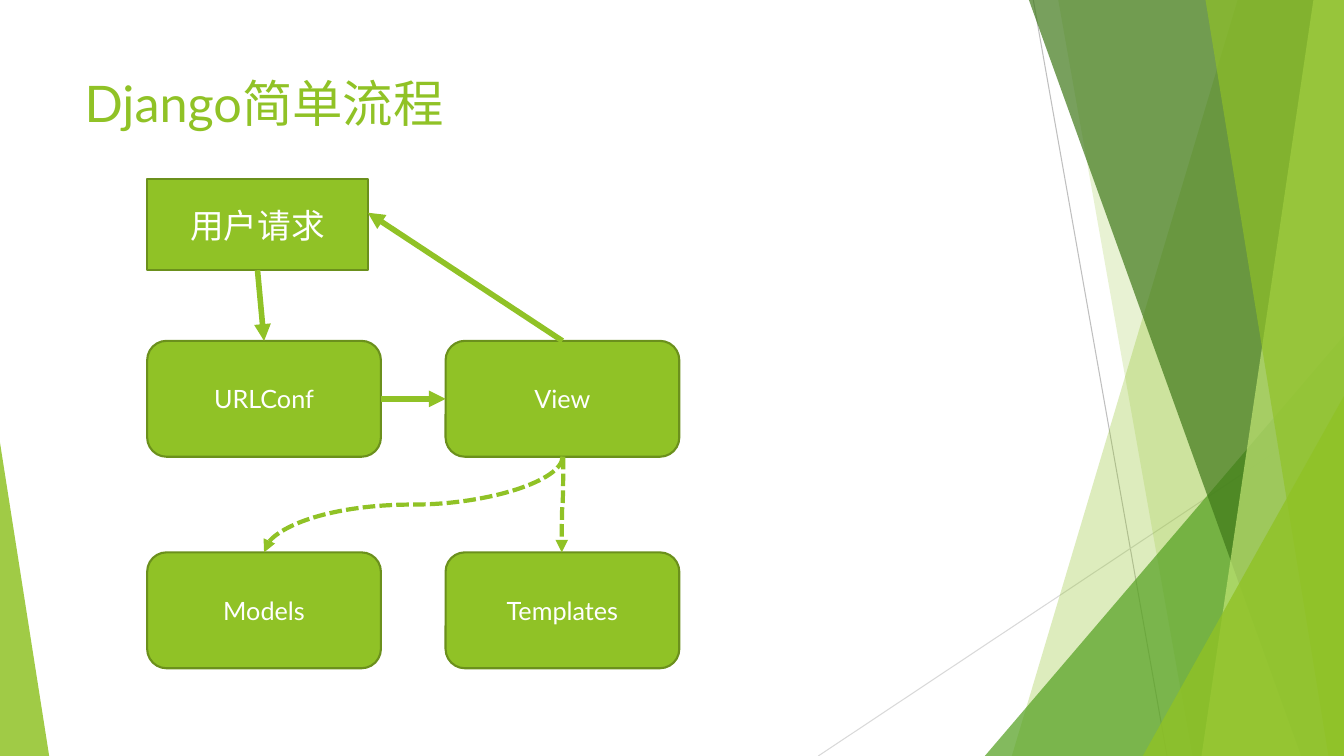
from lxml import etree
from pptx import Presentation
from pptx.dml.color import RGBColor
from pptx.enum.dml import MSO_LINE
from pptx.enum.shapes import MSO_CONNECTOR, MSO_SHAPE
from pptx.enum.text import MSO_ANCHOR, PP_ALIGN
from pptx.oxml.ns import qn
from pptx.util import Cm, Pt

STRAIGHT, CURVE = MSO_CONNECTOR.STRAIGHT, MSO_CONNECTOR.CURVE
RECTANGLE, ROUNDED = MSO_SHAPE.RECTANGLE, MSO_SHAPE.ROUNDED_RECTANGLE
TRIANGLE = MSO_SHAPE.ISOSCELES_TRIANGLE
DASHED = MSO_LINE.SQUARE_DOT
MIDDLE, LEFT, CENTER = MSO_ANCHOR.MIDDLE, PP_ALIGN.LEFT, PP_ALIGN.CENTER
TOP_ANCHOR = MSO_ANCHOR.TOP
TOP, LEFT_SIDE, BOTTOM, RIGHT_SIDE = range(4)

FONT = "Lato"
COLOURS = {
    "green": "90C226", "edge": "6B901C", "leaf": "54A021", "forest": "3F7819",
    "lime": "C0E474", "grey": "BFBFBF", "pale": "D9D9D9", "white": "FFFFFF",
}
WIDTH, HEIGHT = 33.87, 19.05
COLUMNS, ROWS = (3.71, 11.23), (8.59, 13.92)
BOX_WIDTH, BOX_HEIGHT = 5.89, 2.92


def colour(name):
    return RGBColor.from_string(COLOURS[name])


def write(shape, text, size, colour_name, alignment, anchor):
    frame = shape.text_frame
    frame.text = text
    frame.word_wrap = True
    frame.vertical_anchor = anchor
    paragraph = frame.paragraphs[0]
    paragraph.alignment = alignment
    font = paragraph.runs[0].font
    font.name, font.size = FONT, Pt(size)
    font.color.rgb = colour(colour_name)


def fill_translucent(shape, colour_name, opacity):
    shape.shadow.inherit = False
    shape.line.fill.background()
    shape.fill.solid()
    shape.fill.fore_color.rgb = colour(colour_name)
    tint = shape.fill._xPr.find(qn("a:solidFill"))[0]
    etree.SubElement(tint, qn("a:alpha")).set("val", str(opacity * 1000))


def add_band(slide, top_x, bottom_x, colour_name, opacity):
    """Fill from a slanted left edge to the right edge of the slide."""
    builder = slide.shapes.build_freeform(Cm(top_x), 0)
    corners = ((WIDTH, 0), (WIDTH, HEIGHT), (bottom_x, HEIGHT))
    builder.add_line_segments([(Cm(x), Cm(y)) for x, y in corners])
    fill_translucent(builder.convert_to_shape(), colour_name, opacity)


def add_corner(slide, left, top, width, apex, colour_name, opacity):
    """Add a triangle that stands on the bottom edge of the slide."""
    shape = slide.shapes.add_shape(
        TRIANGLE, Cm(left), Cm(top), Cm(width), Cm(HEIGHT - top))
    shape.adjustments[0] = apex
    fill_translucent(shape, colour_name, opacity)


def add_box(slide, kind, left, top, width, height, text, size):
    box = slide.shapes.add_shape(kind, Cm(left), Cm(top), Cm(width), Cm(height))
    box.shadow.inherit = False
    box.fill.solid()
    box.fill.fore_color.rgb = colour("green")
    box.line.color.rgb = colour("edge")
    box.line.width = Pt(1.5)
    write(box, text, size, "white", CENTER, MIDDLE)
    return box


def add_line(slide, kind, start, end, colour_name, width):
    points = [Cm(value) for value in (*start, *end)]
    connector = slide.shapes.add_connector(kind, *points)
    connector.line.color.rgb = colour(colour_name)
    connector.line.width = Pt(width)
    etree.SubElement(connector._element.spPr, qn("a:effectLst"))
    return connector


def add_arrowhead(connector):
    line = connector.line._get_or_add_ln()
    etree.SubElement(line, qn("a:tailEnd")).set("type", "triangle")


def add_arrow(slide, start, end):
    arrow = add_line(slide, STRAIGHT, start, end, "green", 4)
    add_arrowhead(arrow)
    return arrow


def add_dashed_curve(slide, start, end):
    """Curve down and to the left, as a flat curve turned by 90 degrees."""
    (x1, y1), (x2, y2) = start, end
    middle_x, middle_y = (x1 + x2) / 2, (y1 + y2) / 2
    half_width, half_height = (y2 - y1) / 2, (x1 - x2) / 2
    curve = add_line(
        slide, CURVE, (middle_x - half_width, middle_y - half_height),
        (middle_x + half_width, middle_y + half_height), "green", 3)
    curve._element.spPr.find(qn("a:xfrm")).set("rot", str(90 * 60000))
    curve.line.dash_style = DASHED
    add_arrowhead(curve)


def add_decoration(slide):
    add_line(slide, STRAIGHT, (26.04, 0), (29.41, HEIGHT), "grey", 0.75)
    add_line(slide, STRAIGHT, (WIDTH, 10.24), (20.62, HEIGHT), "pale", 0.75)
    add_band(slide, 31.19, 25.5, "green", 30)
    add_band(slide, 26.67, 30.05, "green", 20)
    add_corner(slide, 24.82, 8.46, WIDTH - 24.82, 1, "leaf", 72)
    add_band(slide, 25.93, 32.79, "forest", 70)
    add_band(slide, 33.1, 30.28, "lime", 70)
    add_band(slide, 30.38, 33.48, "green", 65)
    add_corner(slide, 28.8, 9.98, WIDTH - 28.8, 1, "green", 80)
    add_corner(slide, 0, 11.15, 1.24, 0, "green", 85)


def add_title(slide, text):
    title = slide.shapes.title
    title.left, title.top = Cm(1.88), Cm(1.7)
    title.width, title.height = Cm(23.88), Cm(3.66)
    write(title, text, 36, "green", LEFT, TOP_ANCHOR)


def add_flow(slide):
    request = add_box(
        slide, RECTANGLE, COLUMNS[0], 4.52, 5.56, 2.29, "用户请求", 24)
    names = (("URLConf", "View"), ("Models", "Templates"))
    boxes = {
        name: add_box(slide, ROUNDED, left, top, BOX_WIDTH, BOX_HEIGHT, name, 18)
        for top, row in zip(ROWS, names) for left, name in zip(COLUMNS, row)
    }
    url_conf, view = boxes["URLConf"], boxes["View"]
    left_x, right_x = (left + BOX_WIDTH / 2 for left in COLUMNS)
    view_bottom = ROWS[0] + BOX_HEIGHT

    to_view = add_arrow(slide, (9.6, 10.05), (11.23, 10.05))
    to_view.begin_connect(url_conf, RIGHT_SIDE)
    to_view.end_connect(view, LEFT_SIDE)
    to_url_conf = add_arrow(slide, (6.49, 6.81), (left_x, ROWS[0]))
    to_url_conf.begin_connect(request, BOTTOM)
    to_url_conf.end_connect(url_conf, TOP)
    response = add_arrow(slide, (right_x, ROWS[0]), (9.27, 5.36))
    response.begin_connect(view, TOP)

    add_dashed_curve(slide, (right_x, view_bottom), (left_x, ROWS[1]))
    add_dashed_curve(slide, (right_x + 0.02, view_bottom), (right_x - 0.02, ROWS[1]))


def main():
    presentation = Presentation()
    presentation.slide_width, presentation.slide_height = Cm(WIDTH), Cm(HEIGHT)
    slide = presentation.slides.add_slide(presentation.slide_layouts[5])
    add_decoration(slide)
    add_title(slide, "Django简单流程")
    add_flow(slide)
    presentation.save("out.pptx")


if __name__ == "__main__":
    main()
